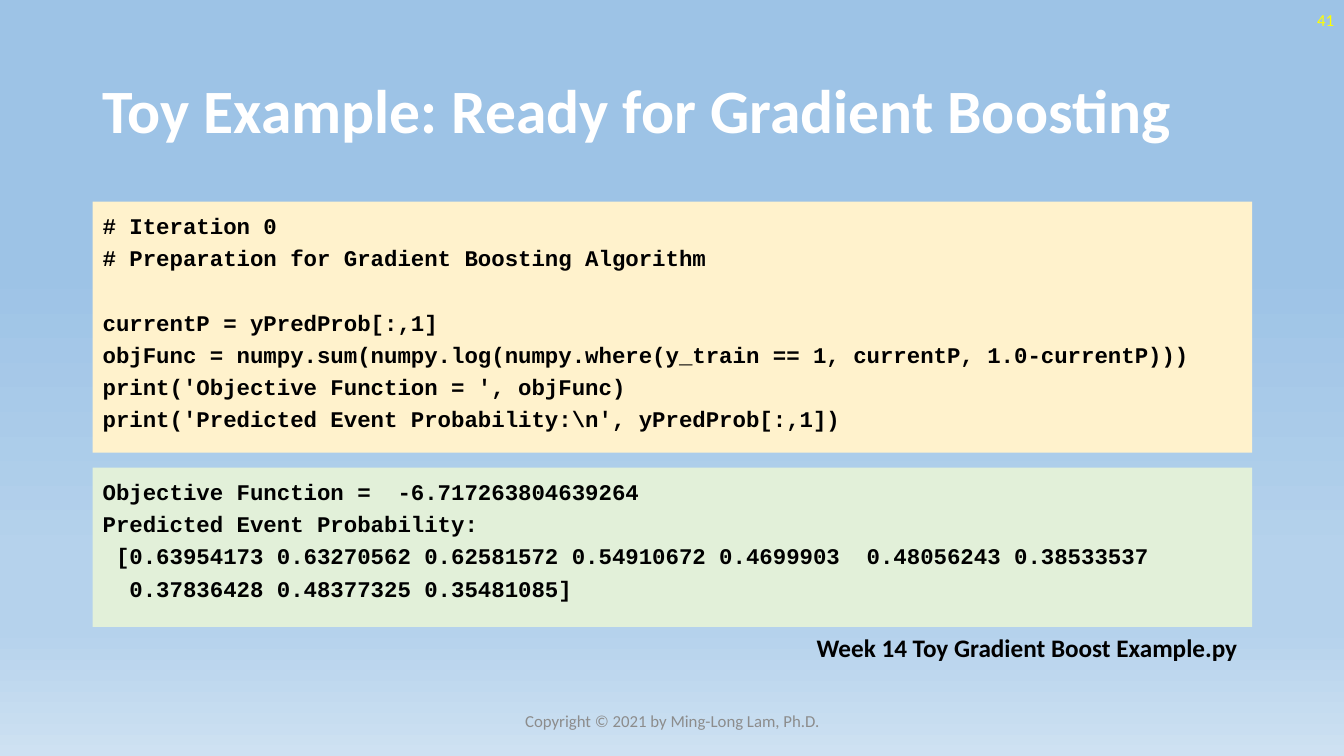
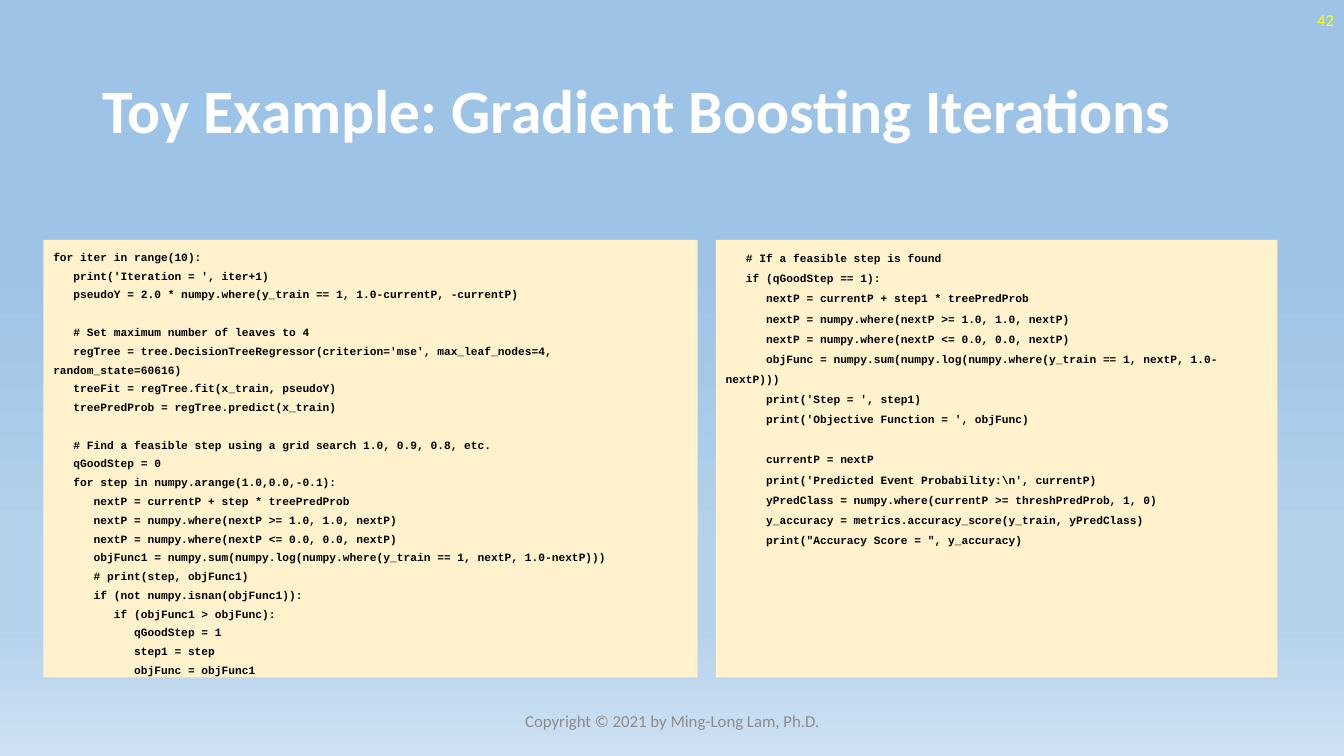
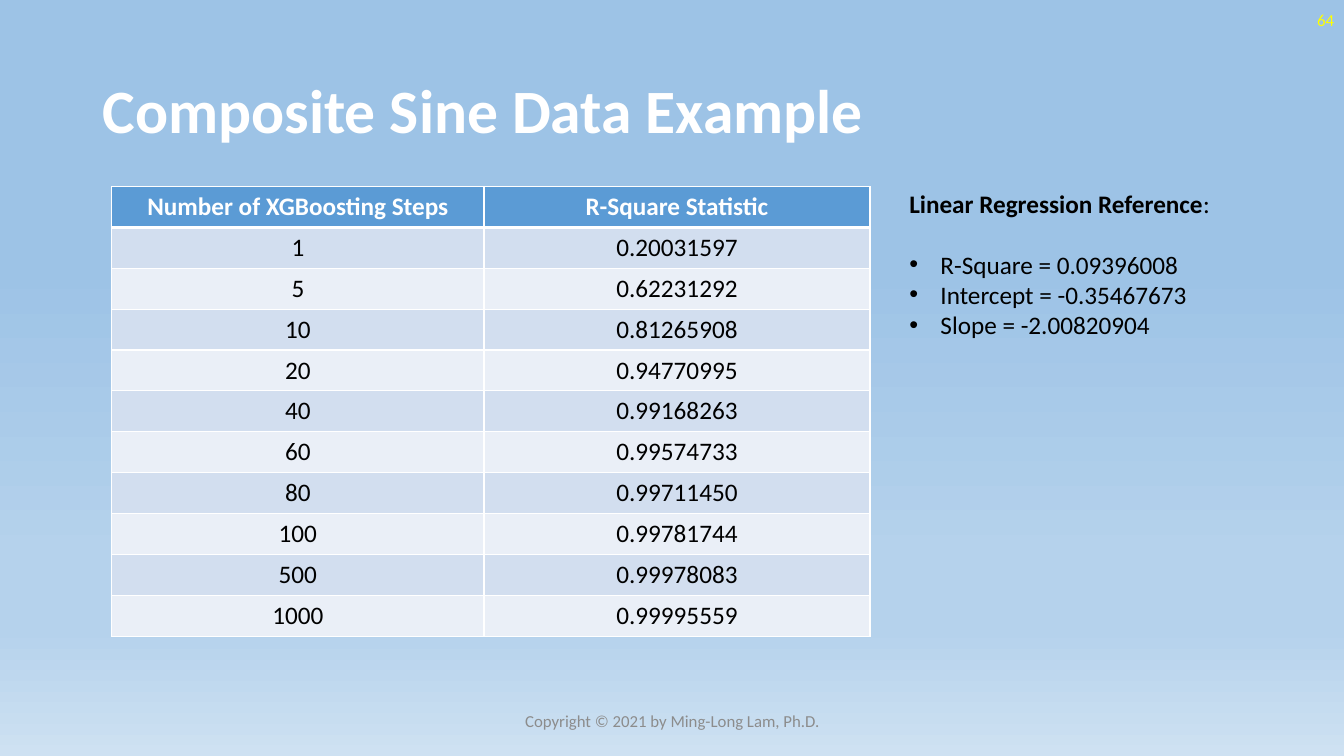
from dataclasses import dataclass
from typing import Any

import pptx
import pptx.dml.color
import pptx.enum.shapes
import pptx.enum.text
import pptx.oxml
import pptx.oxml.ns
import pptx.util
from pptx.util import Inches, Pt

ALIGN = pptx.enum.text.PP_ALIGN
ANCHOR = pptx.enum.text.MSO_ANCHOR
FIT = pptx.enum.text.MSO_AUTO_SIZE
NS = pptx.oxml.ns.nsdecls("a")


@dataclass(frozen=True)
class Theme:
    font: str = "Calibri"
    mono: str = "Courier New"
    title_size: float = 44
    body_size: float = 18
    code_size: float = 16
    small_code_size: float = 8
    note_size: float = 12
    white: str = "FFFFFF"
    black: str = "000000"
    number: str = "FFFF00"
    footer: str = "8C8C8C"
    code_fill: str = "FFF2CC"
    output_fill: str = "E2F0D9"
    header_fill: str = "5B9BD5"
    row_fills: tuple[str, str] = ("D2DEEF", "EAEFF7")
    backdrop: tuple[tuple[int, str], ...] = (
        (35, "9DC3E6"), (74, "B5D2EC"), (83, "B5D2EC"), (100, "CEE1F2"))
    line_pitch: float = 1.2


T = Theme()


@dataclass(frozen=True)
class Box:
    left: float
    top: float
    width: float
    height: float

    def inches(self) -> tuple[Inches, Inches, Inches, Inches]:
        return (Inches(self.left), Inches(self.top),
                Inches(self.width), Inches(self.height))


@dataclass(frozen=True)
class CodePanel:
    box: Box
    fill: str
    size: float
    spacing: float
    code: str


TITLE = Box(0.92, 0.4, 11.5, 1.45)
NUMBER = Box(10.33, 0, 3, 0.4)
FOOTER = Box(4.42, 6.95, 4.5, 0.4)

PREPARATION = r"""# Iteration 0
# Preparation for Gradient Boosting Algorithm

currentP = yPredProb[:,1]
objFunc = numpy.sum(numpy.log(numpy.where(y_train == 1, currentP, 1.0-currentP)))
print('Objective Function = ', objFunc)
print('Predicted Event Probability:\n', yPredProb[:,1])"""

OUTPUT = """Objective Function =  -6.717263804639264
Predicted Event Probability:
 [0.63954173 0.63270562 0.62581572 0.54910672 0.4699903  0.48056243 0.38533537
  0.37836428 0.48377325 0.35481085]"""

TREE_FIT = """for iter in range(10):
   print('Iteration = ', iter+1)
   pseudoY = 2.0 * numpy.where(y_train == 1, 1.0-currentP, -currentP)

   # Set maximum number of leaves to 4
   regTree = tree.DecisionTreeRegressor(criterion='mse', max_leaf_nodes=4, random_state=60616)
   treeFit = regTree.fit(x_train, pseudoY)
   treePredProb = regTree.predict(x_train)

"""

STEP_SEARCH = """   # Find a feasible step using a grid search 1.0, 0.9, 0.8, etc.
   qGoodStep = 0
   for step in numpy.arange(1.0,0.0,-0.1):
      nextP = currentP + step * treePredProb
      nextP = numpy.where(nextP >= 1.0, 1.0, nextP)
      nextP = numpy.where(nextP <= 0.0, 0.0, nextP)
      objFunc1 = numpy.sum(numpy.log(numpy.where(y_train == 1, nextP, 1.0-nextP)))
      # print(step, objFunc1)
      if (not numpy.isnan(objFunc1)):
         if (objFunc1 > objFunc):
            qGoodStep = 1
            step1 = step
            objFunc = objFunc1"""

STEP_UPDATE = r"""   # If a feasible step is found
   if (qGoodStep == 1):
      nextP = currentP + step1 * treePredProb
      nextP = numpy.where(nextP >= 1.0, 1.0, nextP)
      nextP = numpy.where(nextP <= 0.0, 0.0, nextP)
      objFunc = numpy.sum(numpy.log(numpy.where(y_train == 1, nextP, 1.0-nextP)))
      print('Step = ', step1)
      print('Objective Function = ', objFunc)

      currentP = nextP
      print('Predicted Event Probability:\n', currentP)
      yPredClass = numpy.where(currentP >= threshPredProb, 1, 0)
      y_accuracy = metrics.accuracy_score(y_train, yPredClass)
      print("Accuracy Score = ", y_accuracy)"""

R_SQUARES = (
    ("Number of XGBoosting Steps", "R-Square Statistic"),
    ("1", "0.20031597"), ("5", "0.62231292"), ("10", "0.81265908"),
    ("20", "0.94770995"), ("40", "0.99168263"), ("60", "0.99574733"),
    ("80", "0.99711450"), ("100", "0.99781744"), ("500", "0.99978083"),
    ("1000", "0.99995559"))
REFERENCE = ("R-Square = 0.09396008", "Intercept = -0.35467673",
             "Slope = -2.00820904")


def rgb(color: str) -> pptx.dml.color.RGBColor:
    return pptx.dml.color.RGBColor.from_string(color)


def apply(target: Any, values: dict[str, Any]) -> None:
    """Set each named attribute of the target."""
    for name, value in values.items():
        setattr(target, name, value)


def add_run(p: Any, text: str, size: float, color: str = T.black,
            bold: bool = False, font: str = T.font) -> None:
    r = p.add_run()
    r.text = text
    apply(r.font, {"name": font, "size": Pt(size), "bold": bold})
    r.font.color.rgb = rgb(color)


def add_label(s: Any, box: Box, text: str, size: float, color: str = T.black,
              bold: bool = False, align: Any = ALIGN.LEFT,
              anchor: Any = ANCHOR.MIDDLE, wrap: bool = True) -> Any:
    """Add a one-line text box, which grows with its text if it does not wrap."""
    tf = s.shapes.add_textbox(*box.inches()).text_frame
    apply(tf, {"word_wrap": wrap, "vertical_anchor": anchor,
               "auto_size": FIT.NONE if wrap else FIT.SHAPE_TO_FIT_TEXT})
    p = tf.paragraphs[0]
    p.alignment = align
    add_run(p, text, size, color, bold)
    return tf


def add_code(s: Any, panel: CodePanel) -> None:
    """Draw a code panel; an empty code line becomes space before the next."""
    sp = s.shapes.add_shape(pptx.enum.shapes.MSO_SHAPE.RECTANGLE,
                            *panel.box.inches())
    sp.shadow.inherit = False
    sp.fill.solid()
    sp.fill.fore_color.rgb = rgb(panel.fill)
    sp.line.fill.background()
    tf = sp.text_frame
    apply(tf, {"word_wrap": True, "vertical_anchor": ANCHOR.TOP})
    gap = Pt(panel.size * panel.spacing * T.line_pitch)
    p, blank = tf.paragraphs[0], False
    for i, line in enumerate(panel.code.splitlines()):
        if not line:
            blank = True
            continue
        p = tf.add_paragraph() if i else p
        apply(p, {"alignment": ALIGN.LEFT, "line_spacing": panel.spacing,
                  "space_before": gap if blank else Pt(0)})
        add_run(p, line, panel.size, bold=True, font=T.mono)
        blank = False


def add_bullet(tf: Any, text: str, before: float) -> None:
    p = tf.add_paragraph()
    pPr = p._p.get_or_add_pPr()
    pPr.set("marL", str(Inches(0.31)))
    pPr.set("indent", str(-Inches(0.31)))
    for xml in (f'<a:buFont {NS} typeface="Arial"/>',
                f'<a:buChar {NS} char="•"/>'):
        pPr.append(pptx.oxml.parse_xml(xml))
    p.space_before = Pt(before)
    add_run(p, text, T.body_size)


def set_borders(cell: Any, widths: dict[str, float]) -> None:
    tcPr = cell._tc.get_or_add_tcPr()
    for side in ("L", "R", "T", "B"):
        tcPr.append(pptx.oxml.parse_xml(
            f'<a:ln{side} {NS} w="{Pt(widths.get(side, 1))}"><a:solidFill>'
            f'<a:srgbClr val="{T.white}"/></a:solidFill></a:ln{side}>'))


def add_table(s: Any, box: Box, widths: tuple[float, ...],
              rows: tuple[tuple[str, ...], ...]) -> None:
    table = s.shapes.add_table(len(rows), len(widths), *box.inches()).table
    for column, width in zip(table.columns, widths):
        column.width = Inches(width)
    for i, row in enumerate(rows):
        table.rows[i].height = Inches(box.height / len(rows))
        header = i == 0
        for j, text in enumerate(row):
            cell = table.cell(i, j)
            set_borders(cell, {0: {"B": 3}, 1: {"T": 3}}.get(i, {}))
            cell.fill.solid()
            cell.fill.fore_color.rgb = rgb(
                T.header_fill if header else T.row_fills[(i - 1) % 2])
            p = cell.text_frame.paragraphs[0]
            p.alignment = ALIGN.CENTER
            add_run(p, text, T.body_size, T.white if header else T.black, header)


def set_backdrop(prs: Any) -> None:
    """Give the master the gradient that every slide inherits."""
    master = prs.slide_master
    fill = master.background.fill
    fill.gradient()
    fill.gradient_angle = 270
    stops = next(master.element.iter(pptx.oxml.ns.qn("a:gsLst")))
    for stop in list(stops):
        stops.remove(stop)
    for position, color in T.backdrop:
        stops.append(pptx.oxml.parse_xml(
            f'<a:gs {NS} pos="{position * 1000}">'
            f'<a:srgbClr val="{color}"/></a:gs>'))


def new_slide(prs: Any, title: str, number: int) -> Any:
    s = prs.slides.add_slide(prs.slide_layouts.get_by_name("Title Only"))
    sp = s.shapes.title
    apply(sp, dict(zip(("left", "top", "width", "height"), TITLE.inches())))
    tf = sp.text_frame
    apply(tf, {"word_wrap": True, "auto_size": FIT.NONE,
               "vertical_anchor": ANCHOR.MIDDLE})
    p = tf.paragraphs[0]
    apply(p, {"alignment": ALIGN.LEFT, "line_spacing": 0.9})
    add_run(p, title, T.title_size, T.white, True)
    add_label(s, NUMBER, str(number), T.note_size, T.number, align=ALIGN.RIGHT)
    add_label(s, FOOTER, "Copyright © 2021 by Ming-Long Lam, Ph.D.",
              T.note_size, T.footer, align=ALIGN.CENTER)
    return s


def preparation_slide(prs: Any) -> None:
    s = new_slide(prs, "Toy Example: Ready for Gradient Boosting", 41)
    add_label(s, Box(8, 6.22, 4.41, 0.4), "Week 14 Toy Gradient Boost Example.py",
              T.body_size, bold=True, anchor=ANCHOR.TOP, wrap=False)
    for panel in (
            CodePanel(Box(0.92, 2, 11.5, 2.49), T.code_fill, T.code_size, 1.2,
                      PREPARATION),
            CodePanel(Box(0.92, 4.64, 11.5, 1.58), T.output_fill, T.code_size,
                      1.2, OUTPUT)):
        add_code(s, panel)


def iterations_slide(prs: Any) -> None:
    s = new_slide(prs, "Toy Example: Gradient Boosting Iterations", 42)
    for panel in (
            CodePanel(Box(0.43, 2.38, 6.49, 4.34), T.code_fill,
                      T.small_code_size, 1.4, TREE_FIT + STEP_SEARCH),
            CodePanel(Box(7.1, 2.38, 5.57, 4.34), T.code_fill,
                      T.small_code_size, 1.5, STEP_UPDATE)):
        add_code(s, panel)


def sine_slide(prs: Any) -> None:
    s = new_slide(prs, "Composite Sine Data Example", 64)
    add_table(s, Box(1.11, 1.85, 7.52, 4.46), (3.69, 3.83), R_SQUARES)
    tf = add_label(s, Box(8.92, 1.82, 3.2, 1.62), "Linear Regression Reference",
                   T.body_size, bold=True, anchor=ANCHOR.TOP, wrap=False)
    add_run(tf.paragraphs[0], ":", T.body_size)
    for i, text in enumerate(REFERENCE):
        add_bullet(tf, text, 0 if i else T.body_size * T.line_pitch)


def main() -> None:
    prs = pptx.Presentation()
    apply(prs, {"slide_width": Inches(13.33), "slide_height": Inches(7.5)})
    set_backdrop(prs)
    for build in (preparation_slide, iterations_slide, sine_slide):
        build(prs)
    prs.save("out.pptx")


if __name__ == "__main__":
    main()
